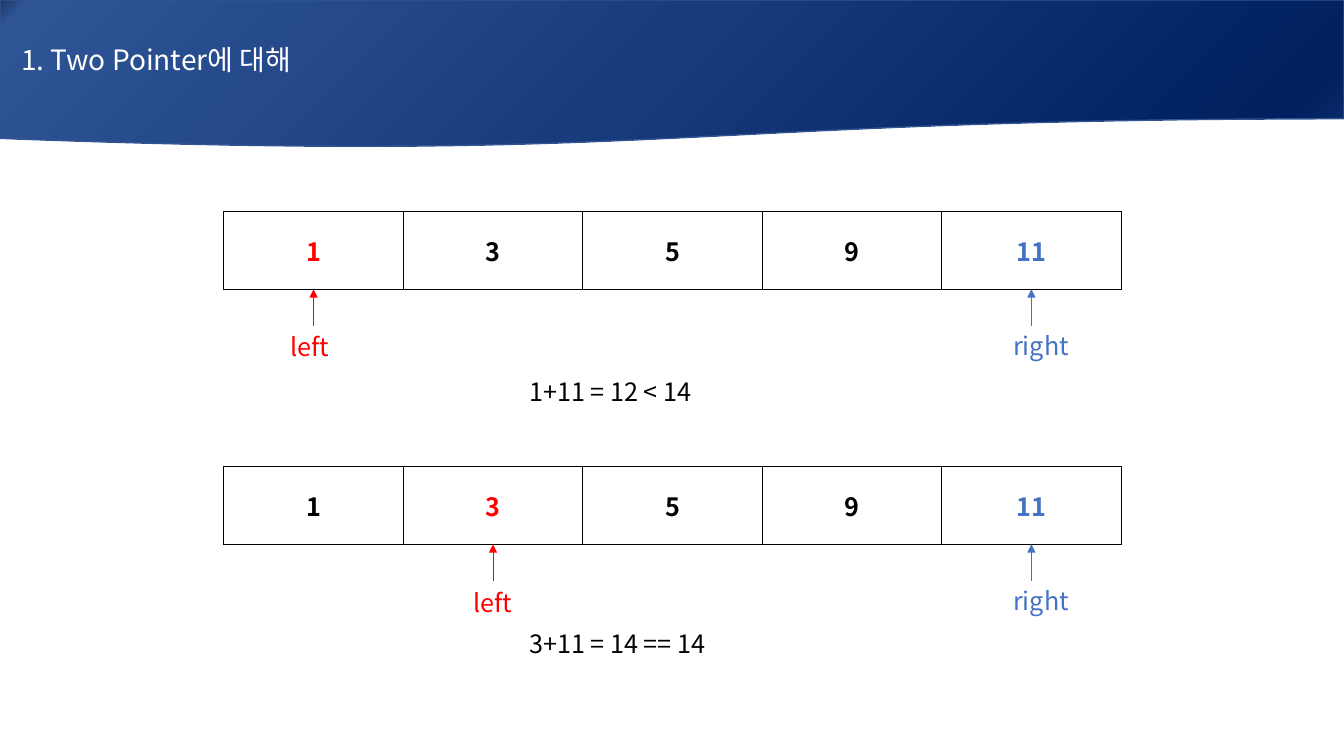
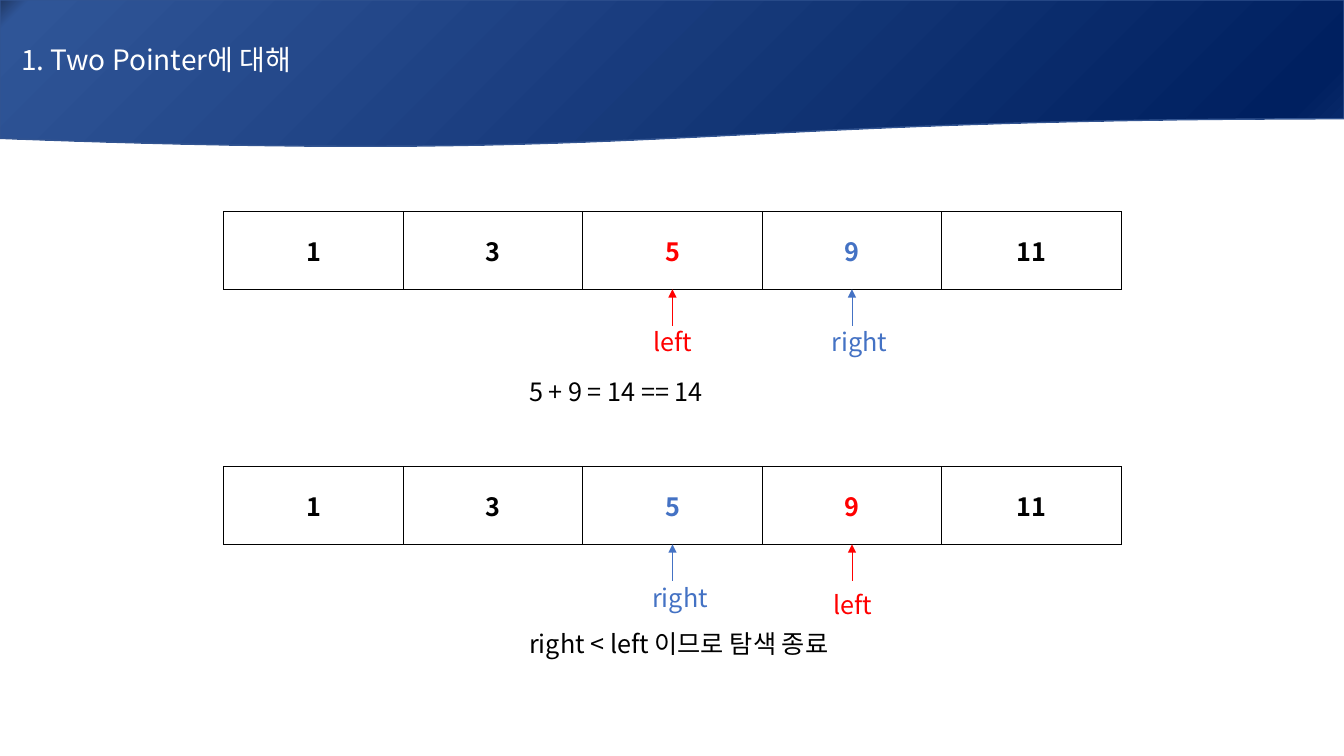
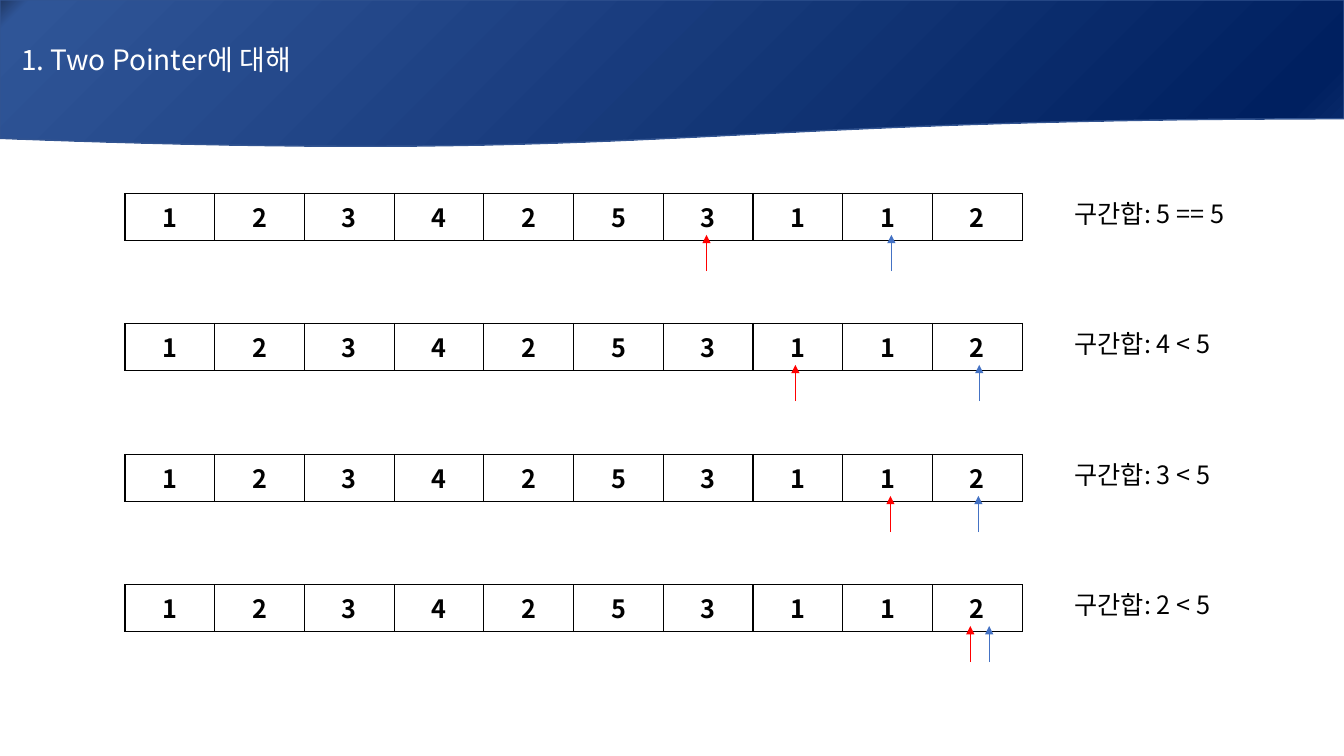
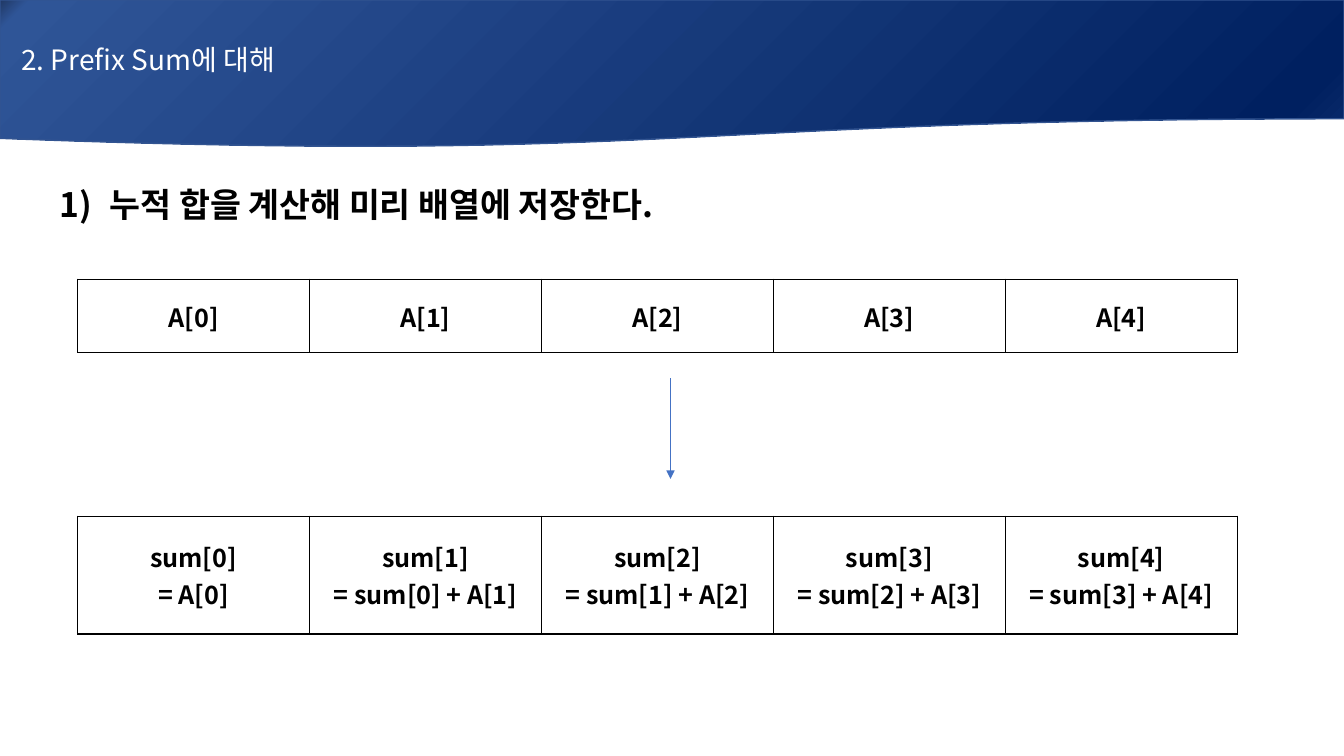
from lxml.etree import SubElement
from pptx import Presentation
from pptx.dml.color import RGBColor
from pptx.enum.shapes import MSO_CONNECTOR, MSO_SHAPE
from pptx.enum.text import MSO_ANCHOR, MSO_AUTO_SIZE, PP_ALIGN
from pptx.oxml.ns import qn
from pptx.util import Inches, Pt

WIDTH, HEIGHT = 13.33, 7.5
FONT = "Noto Sans CJK KR"
BLACK, WHITE, RED, BLUE = "000000", "FFFFFF", "FF0000", "4472C4"
BAND_EDGE = "325491"
BAND_STOPS = [(0, "203864"), (2, "2F5597"), (94, "002060"), (100, "0D2E6F")]
POINTER_LENGTH = 0.36
LABEL_WIDTH, LINE_HEIGHT = 0.92, 0.4


def rgb(code):
    return RGBColor.from_string(code)


def write(frame, text, color=BLACK, size=18, bold=False, align=PP_ALIGN.LEFT):
    for index, line in enumerate(text.split("\n")):
        para = frame.add_paragraph() if index else frame.paragraphs[0]
        para.alignment = align
        span = para.add_run()
        span.text = line
        span.font.size = Pt(size)
        span.font.bold = bold
        span.font.color.rgb = rgb(color)
        span.font.name = FONT
        SubElement(span.font._element, qn("a:ea"), typeface=FONT)
    return frame.paragraphs[0]


POINTER_TITLE = "1. Two Pointer에 대해"
SORTED = ["1", "3", "5", "9", "11"]
SERIES = list("1234253112")
TOP_ROW, LOW_ROW = (2.22, 2.1, 1.78, 0.77), (2.22, 4.63, 1.78, 0.77)
SUMS = ["sum[0]\n= A[0]"] + [f"sum[{i}]\n= sum[{i - 1}] + A[{i}]" for i in range(1, 5)]
WINDOWS = [
    (1.92, 6.48, 8.54, "5 == 5"),
    (3.21, 7.47, 9.52, "4 < 5"),
    (4.51, 8.53, 9.51, "3 < 5"),
    (5.8, 9.42, 9.63, "2 < 5"),
]

pages = [
    {
        "title": POINTER_TITLE,
        "rows": [
            (TOP_ROW, SORTED, [(0.5, RED, "left", 0.33, 0.01), (4.5, BLUE, "right", 0.28, 0)]),
            (LOW_ROW, SORTED, [(1.5, RED, "left", 0.29, 0.02), (4.5, BLUE, "right", 0.28, 0)]),
        ],
        "notes": [(5.15, 3.68, 2.47, "1+11 = 12 < 14"), (5.15, 6.18, 2.47, "3+11 = 14 == 14")],
    },
    {
        "title": POINTER_TITLE,
        "rows": [
            (TOP_ROW, SORTED, [(2.5, RED, "left", 0.29, -0.04), (3.5, BLUE, "right", 0.3, -0.04)]),
            (LOW_ROW, SORTED, [(3.5, RED, "left", 0.28, 0.04), (2.5, BLUE, "right", 0.3, -0.03)]),
        ],
        "notes": [
            (5.15, 3.68, 2.47, "5 + 9 = 14 == 14"),
            (5.15, 6.18, 3.54, "right < left 이므로 탐색 종료"),
        ],
    },
    {
        "title": POINTER_TITLE,
        "rows": [
            ((1.24, top, 0.89, 0.41), SERIES, [(start, RED, "", 0, 0), (end, BLUE, "", 0, 0)])
            for top, start, end, total in WINDOWS
        ],
        "notes": [(10.56, top, 2.06, f"구간합: {total}") for top, start, end, total in WINDOWS],
    },
    {
        "title": "2. Prefix Sum에 대해",
        "rows": [
            ((0.77, 2.77, 2.3, 0.73), [f"A[{i}]" for i in range(5)], []),
            ((0.77, 5.12, 2.3, 1.17), SUMS, []),
        ],
        "notes": [],
        "step": "누적 합을 계산해 미리 배열에 저장한다.",
        "arrows": [(6.65, 3.75, 4.75, BLUE)],
    },
]

deck = Presentation()
deck.slide_width, deck.slide_height = Inches(WIDTH), Inches(HEIGHT)

for content in pages:
    page = deck.slides.add_slide(deck.slide_layouts[6])
    shapes = page.shapes

    band = shapes.add_shape(MSO_SHAPE.FLOWCHART_DOCUMENT, 0, 0, Inches(WIDTH), Inches(1.47))
    band.shadow.inherit = False
    band.line.color.rgb = rgb(BAND_EDGE)
    band.line.width = Pt(1)
    band.fill.gradient()
    band.fill.gradient_angle = 315
    stops = band._element.spPr.find(qn("a:gradFill")).find(qn("a:gsLst"))
    stops.clear()
    for share, code in BAND_STOPS:
        stop = SubElement(stops, qn("a:gs"), pos=str(share * 1000))
        SubElement(stop, qn("a:srgbClr"), val=code)
    band.text_frame.margin_left = Inches(0.21)
    band.text_frame.vertical_anchor = MSO_ANCHOR.MIDDLE
    write(band.text_frame, content["title"], WHITE, 20)

    arrows = list(content.get("arrows", []))
    texts = [(*note, BLACK) for note in content["notes"]]

    for (left, top, column, height), values, pointers in content["rows"]:
        marks = {}
        for position, color, label, shift, drop in pointers:
            x, tip = left + column * position, top + height
            arrows.append((x, tip + POINTER_LENGTH, tip, color))
            if label:
                marks[int(position)] = color
                texts.append((x - shift, tip + POINTER_LENGTH + drop, LABEL_WIDTH, label, color))

        table = shapes.add_table(
            1, len(values), Inches(left), Inches(top), Inches(column * len(values)), Inches(height)
        ).table
        table.first_row = table.horz_banding = False
        for index, value in enumerate(values):
            table.columns[index].width = Inches(column)
            cell = table.cell(0, index)
            cell.vertical_anchor = MSO_ANCHOR.MIDDLE
            for side in ("a:lnL", "a:lnR", "a:lnT", "a:lnB"):
                border = SubElement(cell._tc.tcPr, qn(side), w=str(Pt(1)))
                SubElement(SubElement(border, qn("a:solidFill")), qn("a:srgbClr"), val=BLACK)
            cell.fill.solid()
            cell.fill.fore_color.rgb = rgb(WHITE)
            write(cell.text_frame, value, marks.get(index, BLACK), bold=True, align=PP_ALIGN.CENTER)

    for x, start, end, color in arrows:
        arrow = shapes.add_connector(
            MSO_CONNECTOR.STRAIGHT, Inches(x), Inches(start), Inches(x), Inches(end)
        )
        arrow.line.color.rgb = rgb(color)
        arrow.line.width = Pt(0.5)
        properties = arrow._element.spPr
        SubElement(properties.find(qn("a:ln")), qn("a:tailEnd"), type="triangle")
        SubElement(properties, qn("a:effectLst"))

    for left, top, width, text, color in texts:
        box = shapes.add_textbox(Inches(left), Inches(top), Inches(width), Inches(LINE_HEIGHT))
        box.text_frame.word_wrap = True
        box.text_frame.auto_size = MSO_AUTO_SIZE.SHAPE_TO_FIT_TEXT
        write(box.text_frame, text, color)

    if "step" in content:
        box = shapes.add_textbox(Inches(0.49), Inches(1.75), Inches(WIDTH - 0.49), Inches(1.38))
        box.text_frame.word_wrap = True
        para = write(box.text_frame, content["step"], size=24, bold=True, align=PP_ALIGN.JUSTIFY)
        para.line_spacing = 1.07
        para.space_after = Pt(8)
        layout = para._p.get_or_add_pPr()
        layout.set("marL", str(Inches(0.5)))
        layout.set("indent", str(Inches(-0.5)))
        SubElement(layout, qn("a:buFont"), typeface="+mj-lt")
        SubElement(layout, qn("a:buAutoNum"), type="arabicParenR")

deck.save("out.pptx")
